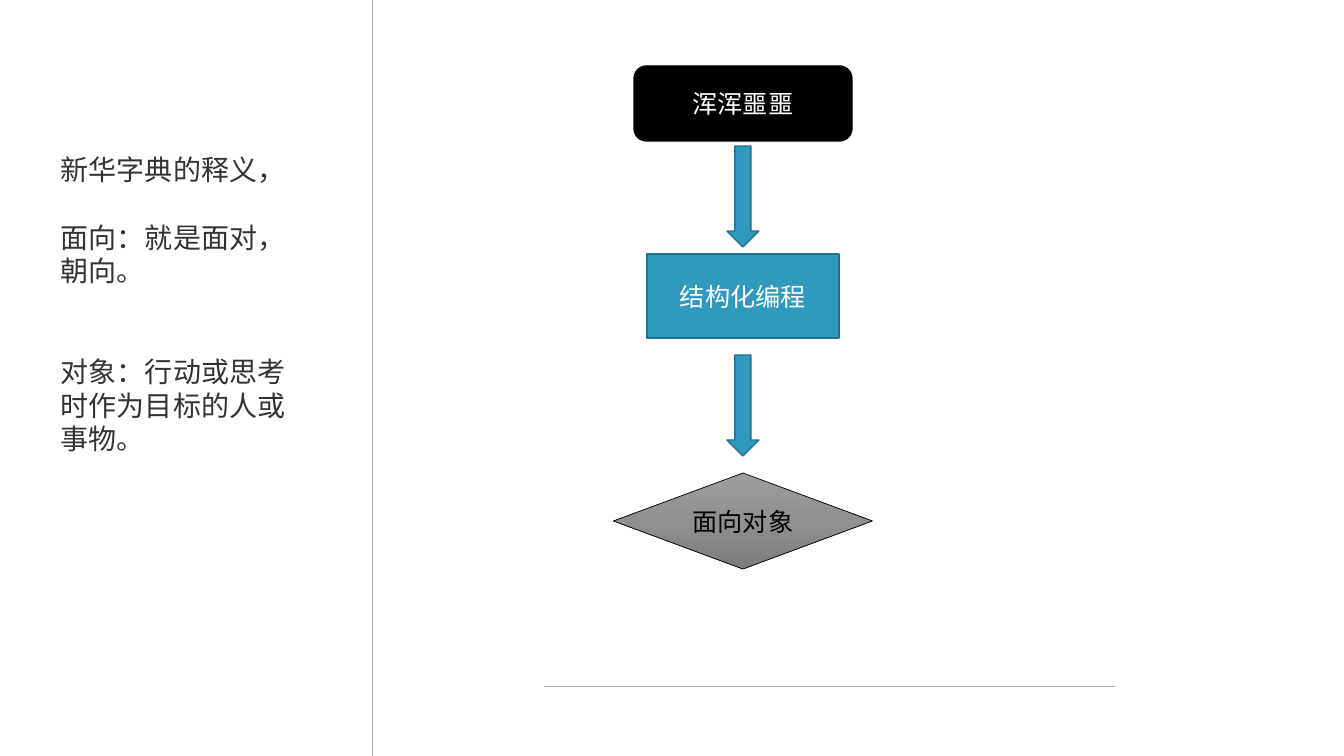
from pptx import Presentation
from pptx.dml.color import RGBColor
from pptx.enum.shapes import MSO_CONNECTOR, MSO_SHAPE
from pptx.enum.text import MSO_ANCHOR, PP_ALIGN
from pptx.oxml.ns import qn
from pptx.util import Pt
from copy import deepcopy
from lxml.etree import SubElement

FONT = "Noto Sans CJK SC"
COLORS = {"rule": "A6A6A6", "ink": "333333", "black": "000000", "white": "FFFFFF",
          "blue": "3099BE", "edge": "24718D"}
FADE = [(0, "9D9D9D"), (0.5, "909090"), (1, "7C7C7C")]

# text, space before in points
NOTES = [("新华字典的释义，", 0), ("面向：就是面对，朝向。", 24),
         ("对象：行动或思考时作为目标的人或事物。", 48)]
NOTE_BOX = (51, 148, 267, 315)
RULES = [(372, 0, 372, 756), (544, 686, 1115, 686)]

# text, shape, top, width, height, fill, line, line width, text colour
STEPS = [
    ("浑浑噩噩", MSO_SHAPE.ROUNDED_RECTANGLE, 66, 218, 75, "black", "black", 1, "white"),
    ("结构化编程", MSO_SHAPE.RECTANGLE, 254, 192, 84, "blue", "edge", 1, "white"),
    ("面向对象", MSO_SHAPE.FLOWCHART_DECISION, 473, 259, 96, None, "black", 0.5, "black"),
]
ARROWS = [146, 355]
ARROW_W, ARROW_H = 32, 101
AXIS = 743
SCALE = 914400 / 100.8


def px(*sizes):
    return [round(size * SCALE) for size in sizes]


def rgb(name):
    return RGBColor.from_string(COLORS[name])


def write(par, text, size=18, color="ink", align=PP_ALIGN.LEFT, before=0, pitch=None):
    par.alignment = align
    par.space_before = Pt(before)
    if pitch:
        par.line_spacing = Pt(pitch)
    run = par.add_run()
    run.text = text
    run.font.size = Pt(size)
    run.font.color.rgb = rgb(color)
    run.font.name = FONT
    SubElement(run.font._element, qn("a:ea"), typeface=FONT)


def fade(shape):
    """Fill a shape from top to bottom with the FADE stops."""
    shape.fill.gradient()
    shape.fill.gradient_angle = 270
    first = shape._element.spPr.find(".//" + qn("a:gs"))
    first.addnext(deepcopy(first))
    for stop, (place, color) in zip(shape.fill.gradient_stops, FADE):
        stop.position = place
        stop.color.rgb = RGBColor.from_string(color)


def block(slide, kind, top, width, height, fill, line, weight):
    """Add a shape centred on the flow axis."""
    box = px(AXIS - width / 2, top, width, height)
    shape = slide.shapes.add_shape(kind, *box)
    shape.shadow.inherit = False
    if fill:
        shape.fill.solid()
        shape.fill.fore_color.rgb = rgb(fill)
    else:
        fade(shape)
    shape.line.color.rgb = rgb(line)
    shape.line.width = Pt(weight)
    return shape


def main():
    deck = Presentation()
    deck.slide_width, deck.slide_height = px(1344, 756)
    slide = deck.slides.add_slide(deck.slide_layouts[6])

    for ends in RULES:
        rule = slide.shapes.add_connector(MSO_CONNECTOR.STRAIGHT, *px(*ends))
        rule.line.color.rgb = rgb("rule")
        rule.line.width = Pt(0.5)
        SubElement(rule._element.spPr, qn("a:effectLst"))

    frame = slide.shapes.add_textbox(*px(*NOTE_BOX)).text_frame
    frame.word_wrap = True
    for i, (text, before) in enumerate(NOTES):
        par = frame.add_paragraph() if i else frame.paragraphs[0]
        write(par, text, size=20, before=before, pitch=24)

    for text, kind, top, width, height, fill, line, weight, color in STEPS:
        shape = block(slide, kind, top, width, height, fill, line, weight)
        frame = shape.text_frame
        frame.word_wrap = True
        frame.vertical_anchor = MSO_ANCHOR.MIDDLE
        write(frame.paragraphs[0], text, color=color, align=PP_ALIGN.CENTER)

    for top in ARROWS:
        block(slide, MSO_SHAPE.DOWN_ARROW, top, ARROW_W, ARROW_H, "blue", "edge", 1)

    deck.save("out.pptx")


if __name__ == "__main__":
    main()
